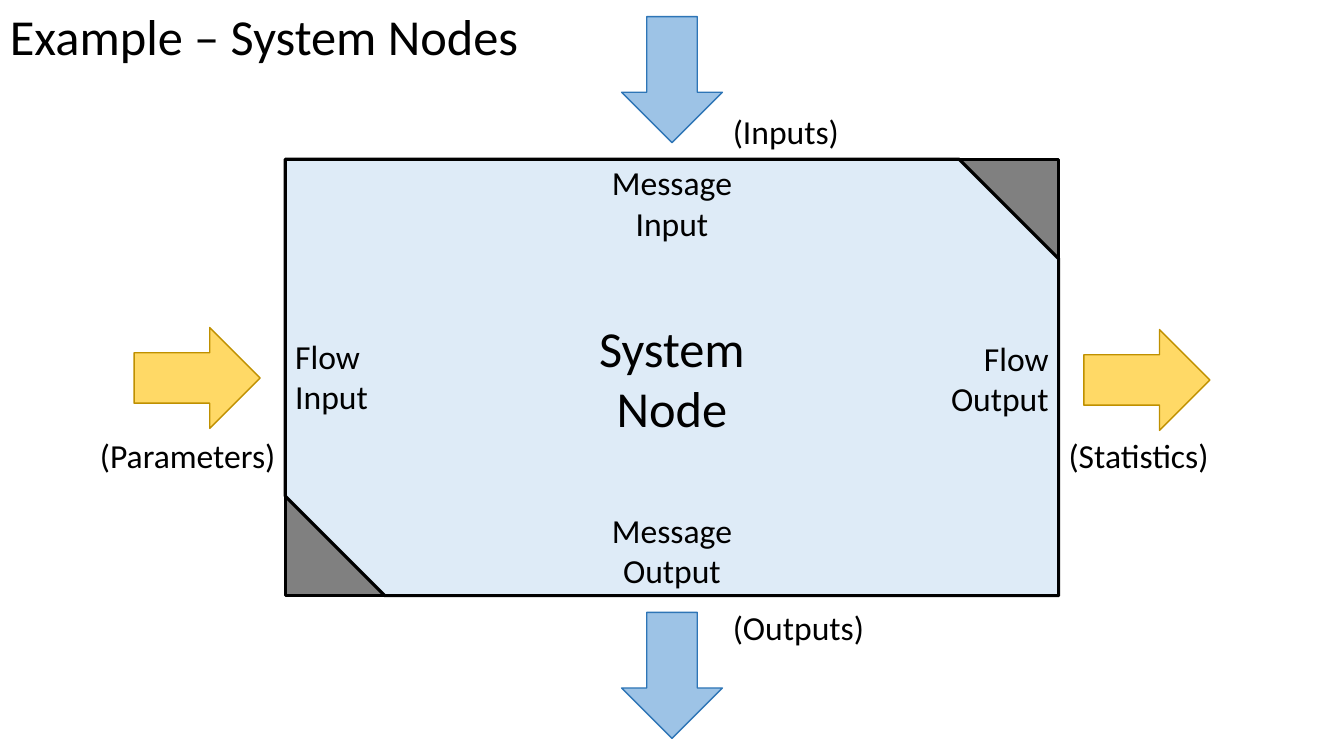
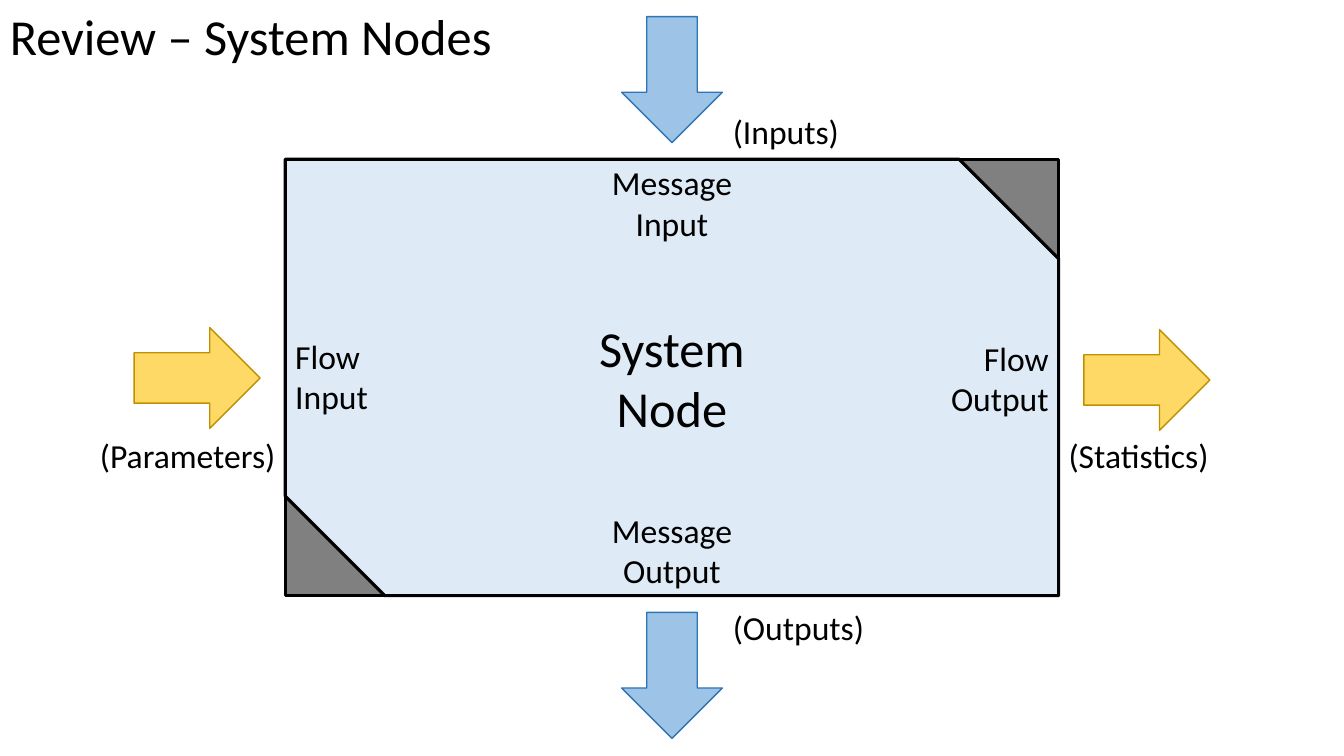
from dataclasses import dataclass

from pptx import Presentation
from pptx.dml.color import RGBColor
from pptx.enum.shapes import MSO_SHAPE
from pptx.enum.text import MSO_ANCHOR, MSO_AUTO_SIZE, PP_ALIGN
from pptx.util import Inches, Pt


@dataclass(frozen=True)
class Theme:
    font: str = "Calibri"
    large: int = 36
    label: int = 24
    ink: str = "000000"
    node: str = "DEEBF7"
    corner: str = "808080"
    message: tuple = ("9DC3E6", "2E75B6")
    flow: tuple = ("FFD966", "BF9000")
    outline_width: float = 2.25
    arrow_width: float = 1
    corner_snip: float = 0.228


THEME = Theme()
SLIDE_WIDTH, SLIDE_HEIGHT = 13.33, 7.5
NODE_LEFT, NODE_TOP, NODE_WIDTH, NODE_HEIGHT = 2.83, 1.58, 7.67, 4.33
NODE_RIGHT = NODE_LEFT + NODE_WIDTH
CENTER = NODE_LEFT + NODE_WIDTH / 2
ARROW_WIDTH, ARROW_HEIGHT = 1.25, 1
PORT_WIDTH, PORT_HEIGHT = 1.67, 0.91
CAPTION_WIDTH, CAPTION_HEIGHT = 1.96, 0.5
CAPTION_LEFT, CAPTION_TOP = 7.17, 4.27


def write_text(frame, text, size=THEME.label, align=PP_ALIGN.LEFT,
               anchor=MSO_ANCHOR.TOP):
    """Fill the frame with one paragraph per line of text."""
    frame.word_wrap = True
    frame.vertical_anchor = anchor
    frame.text = text
    for paragraph in frame.paragraphs:
        paragraph.alignment = align
        paragraph.font.name = THEME.font
        paragraph.font.size = Pt(size)
        paragraph.font.color.rgb = RGBColor.from_string(THEME.ink)


class NodeDeck:
    def __init__(self):
        self.presentation = Presentation()
        self.presentation.slide_width = Inches(SLIDE_WIDTH)
        self.presentation.slide_height = Inches(SLIDE_HEIGHT)
        self.slide = None

    def add_slide(self, title):
        blank_layout = self.presentation.slide_layouts[6]
        self.slide = self.presentation.slides.add_slide(blank_layout)
        self.add_node()
        self.add_arrows()
        self.add_ports()
        self.add_captions()
        self.add_text(title, 0, 0, 8.67, 0.71, size=THEME.large)

    def add_shape(self, shapes, kind, left, top, width, height, fill, line,
                  line_width):
        shape = shapes.add_shape(kind, Inches(left), Inches(top),
                                 Inches(width), Inches(height))
        shape.shadow.inherit = False
        shape.fill.solid()
        shape.fill.fore_color.rgb = RGBColor.from_string(fill)
        shape.line.color.rgb = RGBColor.from_string(line)
        shape.line.width = Pt(line_width)
        return shape

    def add_text(self, text, left, top, width, height, **text_format):
        box = self.slide.shapes.add_textbox(Inches(left), Inches(top),
                                            Inches(width), Inches(height))
        write_text(box.text_frame, text, **text_format)
        box.text_frame.auto_size = MSO_AUTO_SIZE.SHAPE_TO_FIT_TEXT

    def add_node(self):
        """Group a snipped body over a rectangle that shows at its corners."""
        group = self.slide.shapes.add_group_shape()
        area = NODE_LEFT, NODE_TOP, NODE_WIDTH, NODE_HEIGHT
        outline = THEME.ink, THEME.outline_width
        self.add_shape(group.shapes, MSO_SHAPE.RECTANGLE, *area,
                       THEME.corner, *outline)
        body = self.add_shape(group.shapes, MSO_SHAPE.SNIP_2_DIAG_RECTANGLE,
                              *area, THEME.node, *outline)
        body.adjustments[0] = 0
        body.adjustments[1] = THEME.corner_snip
        write_text(body.text_frame, "System\nNode", size=THEME.large,
                   align=PP_ALIGN.CENTER, anchor=MSO_ANCHOR.MIDDLE)

    def add_arrows(self):
        message_left = CENTER - ARROW_WIDTH / 2
        for left, top, colors, rotation in (
            (message_left, 0.29, THEME.message, 90),
            (message_left, 6.2, THEME.message, 90),
            (NODE_LEFT - 1.5, 3.25, THEME.flow, 0),
            (NODE_RIGHT + 0.25, 3.27, THEME.flow, 0),
        ):
            arrow = self.add_shape(self.slide.shapes, MSO_SHAPE.RIGHT_ARROW,
                                   left, top, ARROW_WIDTH, ARROW_HEIGHT,
                                   *colors, THEME.arrow_width)
            arrow.rotation = rotation

    def add_ports(self):
        message_left = CENTER - PORT_WIDTH / 2
        for text, left, top, align in (
            ("Flow\nInput", NODE_LEFT, 3.28, PP_ALIGN.LEFT),
            ("Flow\nOutput", NODE_RIGHT - PORT_WIDTH, 3.3, PP_ALIGN.RIGHT),
            ("Message\nInput", message_left, 1.56, PP_ALIGN.CENTER),
            ("Message\nOutput", message_left, 5.01, PP_ALIGN.CENTER),
        ):
            self.add_text(text, left, top, PORT_WIDTH, PORT_HEIGHT, align=align)

    def add_captions(self):
        for text, left, top, align in (
            ("(Parameters)", NODE_LEFT - CAPTION_WIDTH, CAPTION_TOP,
             PP_ALIGN.RIGHT),
            ("(Statistics)", NODE_RIGHT, CAPTION_TOP, PP_ALIGN.LEFT),
            ("(Inputs)", CAPTION_LEFT, 1.05, PP_ALIGN.LEFT),
            ("(Outputs)", CAPTION_LEFT, 5.97, PP_ALIGN.LEFT),
        ):
            self.add_text(text, left, top, CAPTION_WIDTH, CAPTION_HEIGHT,
                          align=align)


def main():
    deck = NodeDeck()
    for topic in ("Example", "Review"):
        deck.add_slide(f"{topic} – System Nodes")
    deck.presentation.save("out.pptx")


if __name__ == "__main__":
    main()
